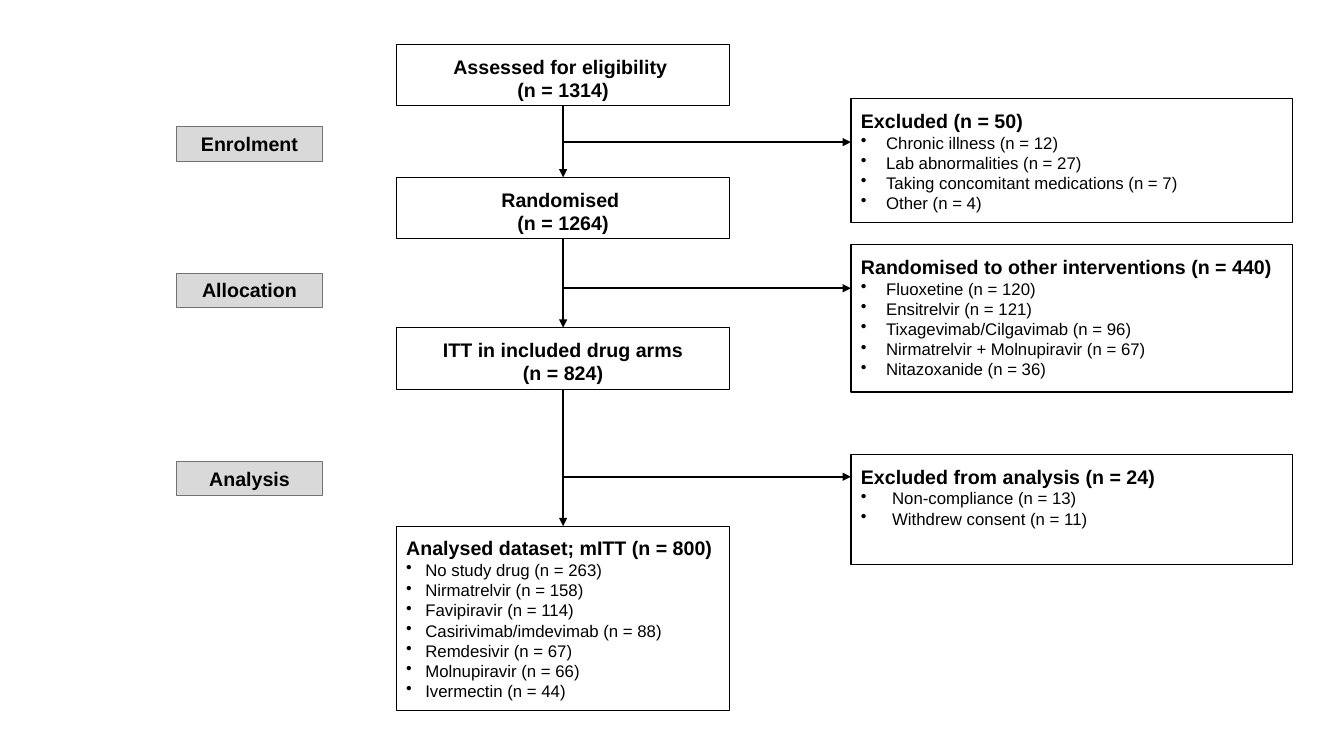
from lxml.etree import SubElement
from pptx import Presentation
from pptx.dml.color import RGBColor
from pptx.enum.shapes import MSO_CONNECTOR, MSO_SHAPE
from pptx.enum.text import MSO_ANCHOR, PP_ALIGN
from pptx.oxml.ns import qn
from pptx.util import Inches, Pt

COLOURS = {"ink": "000000", "paper": "FFFFFF", "stage": "D9D9D9", "stage_edge": "767171"}
FLOW_LEFT, FLOW_WIDTH = 3.93, 3.31
SIDE_LEFT, SIDE_WIDTH = 8.44, 4.38
STAGE_LEFT, STAGE_WIDTH, STAGE_HEIGHT = 1.75, 1.45, 0.34
SPINE = 5.58

STEPS = [
    (0.44, ["Assessed for eligibility ", "(n = 1314)"]),
    (1.76, ["Randomised ", "(n = 1264)"]),
    (3.25, ["ITT in included drug arms", "(n = 824)"]),
]
ANALYSED = ("Analysed dataset; mITT (n = 800)", [
    "No study drug (n = 263)", "Nirmatrelvir (n = 158)", "Favipiravir (n = 114)",
    "Casirivimab/imdevimab (n = 88)", "Remdesivir (n = 67)",
    "Molnupiravir (n = 66)", "Ivermectin (n = 44)"])
BRANCHES = [
    ("Enrolment", 1.41, 0.98, 1.23, 0.25, "Excluded (n = 50)", [
        "Chronic illness (n = 12)", "Lab abnormalities (n = 27)",
        "Taking concomitant medications (n = 7)", "Other (n = 4)"]),
    ("Allocation", 2.86, 2.43, 1.46, 0.25, "Randomised to other interventions (n = 440)", [
        "Fluoxetine (n = 120)", "Ensitrelvir (n = 121)", "Tixagevimab/Cilgavimab (n = 96)",
        "Nirmatrelvir + Molnupiravir (n = 67)", "Nitazoxanide (n = 36)"]),
    ("Analysis", 4.73, 4.51, 1.09, 0.31, "Excluded from analysis (n = 24)", [
        "Non-compliance (n = 13)", "Withdrew consent (n = 11)"]),
]


def colour(name):
    """Return the named colour."""
    return RGBColor.from_string(COLOURS[name])


def add_box(slide, left, top, width, height, fill="paper", edge="ink", inset=0.1):
    """Add an outlined rectangle with text set from the top."""
    box = slide.shapes.add_shape(
        MSO_SHAPE.RECTANGLE, Inches(left), Inches(top), Inches(width), Inches(height))
    box.shadow.inherit = False
    box.fill.solid()
    box.fill.fore_color.rgb = colour(fill)
    box.line.color.rgb = colour(edge)
    box.line.width = Pt(0.75)
    frame = box.text_frame
    frame.word_wrap = True
    frame.vertical_anchor = MSO_ANCHOR.TOP
    frame.margin_left = frame.margin_right = Inches(0.1)
    frame.margin_top = frame.margin_bottom = Inches(inset)
    return box


def write_lines(box, lines, size=14, bold=True, align=PP_ALIGN.CENTER, indent=0):
    """Append paragraphs to a box, bulleted when an indent is given."""
    frame = box.text_frame
    for line in lines:
        paragraph = frame.add_paragraph() if frame.text else frame.paragraphs[0]
        paragraph.text = line
        paragraph.alignment = align
        font = paragraph.font
        font.name, font.size, font.bold = "Arial", Pt(size), bold
        font.color.rgb = colour("ink")
        if indent:
            properties = paragraph._p.get_or_add_pPr()
            properties.set("marL", str(Inches(indent)))
            properties.set("indent", str(-Inches(indent)))
            bullet = properties.makeelement(qn("a:buChar"), {"char": "•"})
            properties.insert_element_before(bullet, "a:tabLst", "a:defRPr", "a:extLst")


def add_list_box(slide, left, top, width, height, heading, items, indent):
    """Add a box with a bold heading above bulleted counts."""
    box = add_box(slide, left, top, width, height)
    write_lines(box, [heading], align=PP_ALIGN.LEFT)
    write_lines(box, items, size=12, bold=False, align=PP_ALIGN.LEFT, indent=indent)
    return box


def add_arrow(slide, start=(0, 0), end=(0, 0)):
    """Add a straight arrow between two points."""
    arrow = slide.shapes.add_connector(
        MSO_CONNECTOR.STRAIGHT, *(Inches(value) for value in (*start, *end)))
    arrow.line.color.rgb = colour("ink")
    arrow.line.width = Pt(1.5)
    SubElement(arrow.line._get_or_add_ln(), qn("a:tailEnd"), type="triangle")
    SubElement(arrow._element.spPr, qn("a:effectLst"))
    return arrow


def add_step(slide, top, lines):
    """Add a centred step of the main flow."""
    step = add_box(slide, FLOW_LEFT, top, FLOW_WIDTH, 0.61)
    write_lines(step, lines)
    return step


def add_branch(slide, stage, level, top, height, indent, heading, items):
    """Add a stage label with its side arrow and side box."""
    label = add_box(slide, STAGE_LEFT, level - 0.15, STAGE_WIDTH, STAGE_HEIGHT,
                    fill="stage", edge="stage_edge", inset=0.05)
    write_lines(label, [stage])
    add_list_box(slide, SIDE_LEFT, top, SIDE_WIDTH, height, heading, items, indent)
    add_arrow(slide, (SPINE, level), (SIDE_LEFT, level))


def main():
    """Build the trial flow diagram."""
    presentation = Presentation()
    presentation.slide_width, presentation.slide_height = Inches(13.33), Inches(7.5)
    slide = presentation.slides.add_slide(presentation.slide_layouts[6])
    flow = [add_step(slide, top, lines) for top, lines in STEPS]
    flow.append(add_list_box(slide, FLOW_LEFT, 5.22, FLOW_WIDTH, 1.83, *ANALYSED, 0.19))
    for upper, lower in zip(flow, flow[1:]):
        arrow = add_arrow(slide)
        arrow.begin_connect(upper, 2)
        arrow.end_connect(lower, 0)
    for branch in BRANCHES:
        add_branch(slide, *branch)
    presentation.save("out.pptx")


if __name__ == "__main__":
    main()
